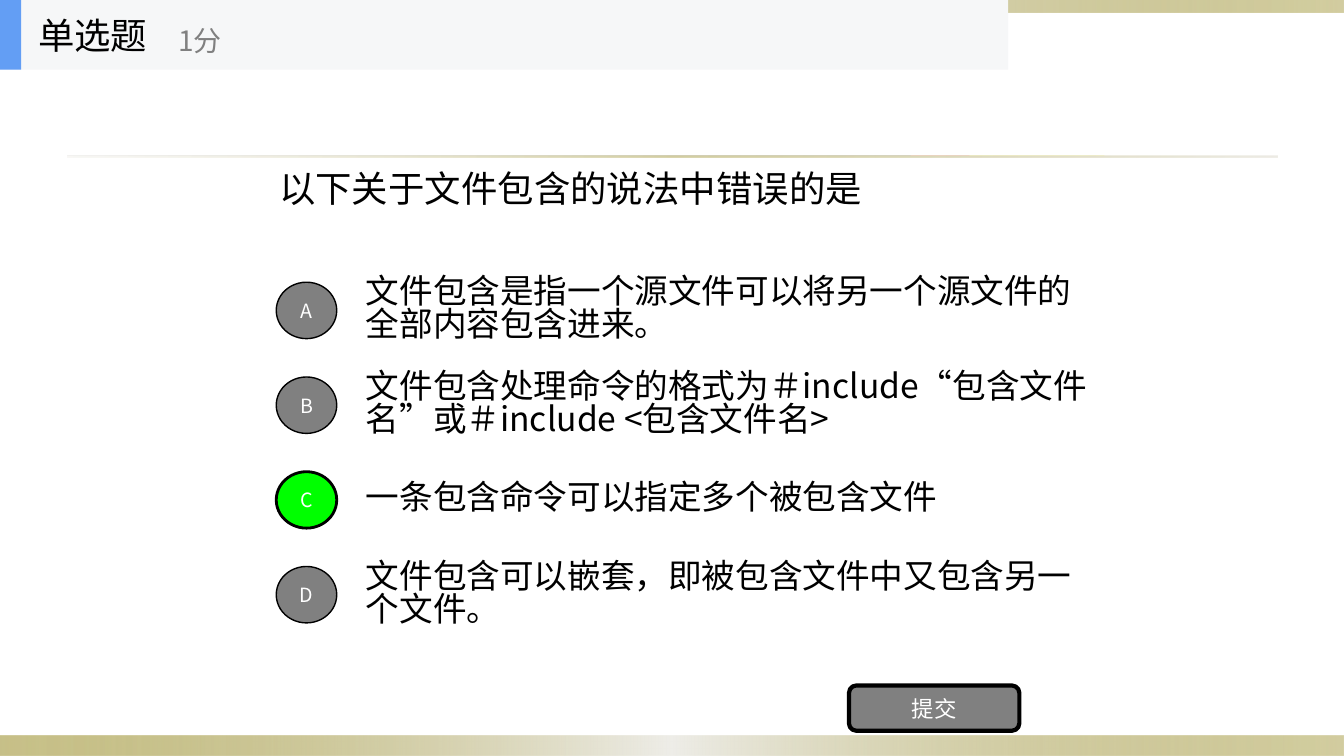
from dataclasses import dataclass

from lxml import etree
from pptx import Presentation
from pptx.dml.color import RGBColor
from pptx.enum.shapes import MSO_SHAPE
from pptx.enum.text import MSO_ANCHOR, PP_ALIGN
from pptx.oxml.ns import qn
from pptx.util import Inches, Pt

RECTANGLE = MSO_SHAPE.RECTANGLE
ROUNDED = MSO_SHAPE.ROUNDED_RECTANGLE
OVAL = MSO_SHAPE.OVAL
MIDDLE = MSO_ANCHOR.MIDDLE
CENTER = PP_ALIGN.CENTER
LEFT = PP_ALIGN.LEFT


@dataclass(frozen=True)
class Theme:
    font: str = "Noto Sans CJK SC"
    black: str = "000000"
    white: str = "FFFFFF"
    gray: str = "808080"
    green: str = "00FF00"
    blue: str = "639EF4"
    pale: str = "F6F7F8"
    olive: str = "918415"
    cream: str = "EEEDE8"
    sand: str = "DCD9CC"
    heading_size: int = 26
    option_size: int = 24
    points_size: int = 20
    button_size: int = 16
    letter_size: int = 14
    option_spacing: float = 0.82


THEME = Theme()
# Gradient stops: position, colour, opacity (percent)
BAND_STOPS = [(0, THEME.olive, 50), (50, THEME.cream, 100), (100, THEME.olive, 40)]
RULE_STOPS = [(0, THEME.sand, 20), (50, THEME.olive, 40), (100, THEME.sand, 50)]

OPTIONS = [
    ("A", "文件包含是指一个源文件可以将另一个源文件的全部内容包含进来。"),
    ("B", "文件包含处理命令的格式为＃include“包含文件名”或＃include <包含文件名>"),
    ("C", "一条包含命令可以指定多个被包含文件"),
    ("D", "文件包含可以嵌套，即被包含文件中又包含另一个文件。"),
]
CORRECT = "C"
OPTION_TOP = 2.73
OPTION_STEP = 0.94


def write(shape, text, size, color, align=LEFT):
    frame = shape.text_frame
    frame.word_wrap = True
    frame.vertical_anchor = MIDDLE
    para = frame.paragraphs[0]
    para.text = text
    para.alignment = align
    para.font.size = Pt(size)
    para.font.name = THEME.font
    para.font.color.rgb = RGBColor.from_string(color)
    # East Asian glyphs take their typeface from a separate element
    etree.SubElement(para.font._element, qn("a:ea"), typeface=THEME.font)
    return para


def add_text(shapes, place, text, size, color=THEME.black):
    return write(shapes.add_textbox(*map(Inches, place)), text, size, color)


def add_plain(shapes, kind, place, color=None, line_width=0):
    shape = shapes.add_shape(kind, *map(Inches, place))
    shape.shadow.inherit = False
    if color:
        shape.fill.solid()
        shape.fill.fore_color.rgb = RGBColor.from_string(color)
    if line_width:
        shape.line.color.rgb = RGBColor.from_string(THEME.black)
        shape.line.width = Pt(line_width)
    else:
        shape.line.fill.background()
    return shape


def add_gradient_band(shapes, place, stops):
    """Horizontal gradient strip with partly transparent stops."""
    band = add_plain(shapes, RECTANGLE, place)
    band.fill.gradient()
    band.fill.gradient_angle = 0
    stop_list = band._element.spPr.find(qn("a:gradFill")).find(qn("a:gsLst"))
    for old_stop in list(stop_list):
        stop_list.remove(old_stop)
    for position, color, opacity in stops:
        stop = etree.SubElement(stop_list, qn("a:gs"), pos=str(position * 1000))
        tint = etree.SubElement(stop, qn("a:srgbClr"), val=color)
        etree.SubElement(tint, qn("a:alpha"), val=str(opacity * 1000))


def add_option(shapes, top, letter, text):
    para = add_text(shapes, (3.53, top, 7.47, 0.7), text, THEME.option_size)
    para.line_spacing = THEME.option_spacing
    correct = letter == CORRECT
    badge = add_plain(shapes, OVAL, (2.74, top + 0.07, 0.6, 0.56),
                      THEME.green if correct else THEME.gray, 2 if correct else 1)
    write(badge, letter, THEME.letter_size, THEME.white, CENTER)


def add_header(shapes):
    header = shapes.add_group_shape().shapes
    add_plain(header, RECTANGLE, (0, 0, 10, 0.69), THEME.pale)
    add_plain(header, RECTANGLE, (0, 0, 0.21, 0.69), THEME.blue)
    add_text(header, (0.28, 0, 2.08, 0.69), "单选题", THEME.heading_size)
    add_text(header, (1.67, 0.12, 2.5, 0.56), "1分", THEME.points_size, THEME.gray)


def main():
    deck = Presentation()
    deck.slide_width, deck.slide_height = Inches(13.33), Inches(7.5)
    shapes = deck.slides.add_slide(deck.slide_layouts[6]).shapes

    add_gradient_band(shapes, (0, 7.3, 13.33, 0.2), BAND_STOPS)
    add_gradient_band(shapes, (0, 0, 13.33, 0.12), BAND_STOPS)
    add_gradient_band(shapes, (0.67, 1.54, 12, 0.02), RULE_STOPS)

    add_text(shapes, (2.67, 0.69, 8, 2.34), "以下关于文件包含的说法中错误的是",
             THEME.heading_size)
    for index, (letter, text) in enumerate(OPTIONS):
        add_option(shapes, OPTION_TOP + index * OPTION_STEP, letter, text)

    button = add_plain(shapes, ROUNDED, (8.42, 6.8, 1.69, 0.45), THEME.gray, 3)
    write(button, "提交", THEME.button_size, THEME.white, CENTER)
    add_header(shapes)

    deck.save("out.pptx")


if __name__ == "__main__":
    main()
